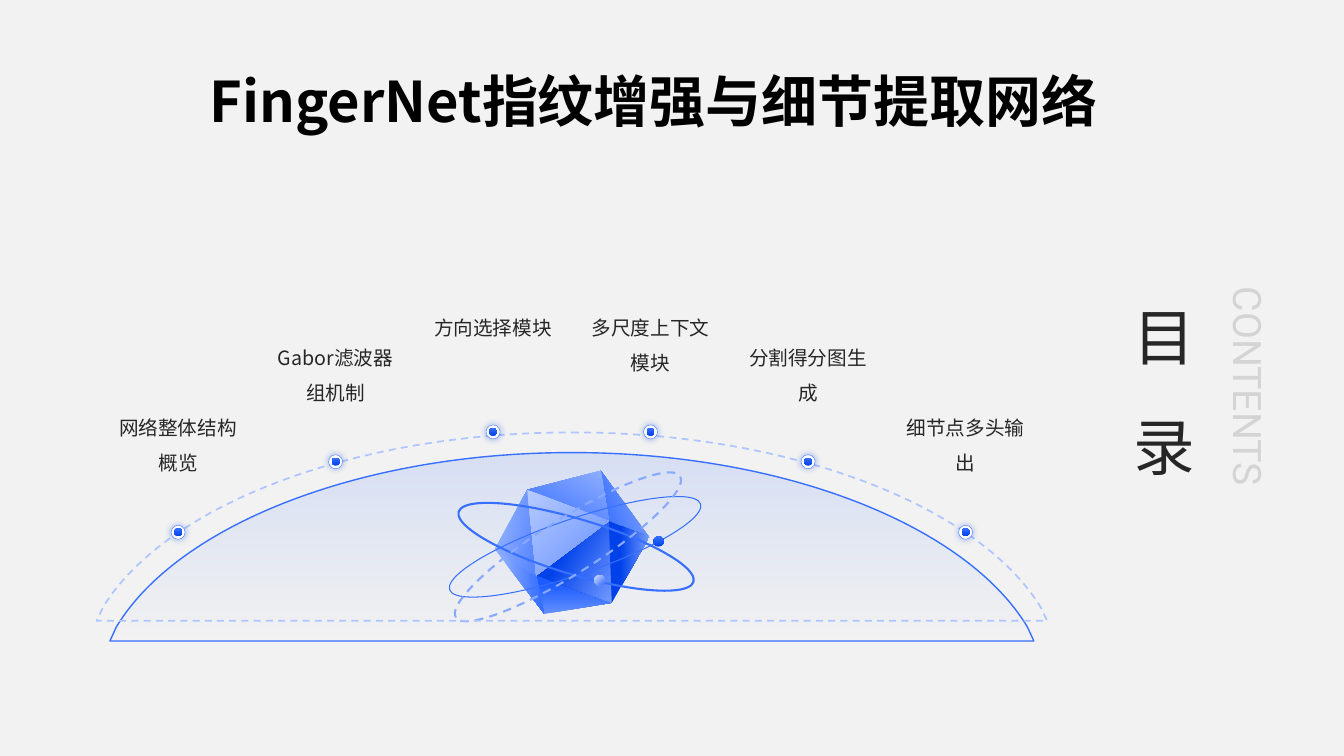
from dataclasses import dataclass
from typing import NamedTuple

from lxml.etree import SubElement as sub
from pptx import Presentation
from pptx.dml.color import RGBColor as Rgb
from pptx.enum.dml import MSO_LINE as Dash
from pptx.enum.shapes import MSO_SHAPE as Kind
from pptx.enum.text import PP_ALIGN as Align
from pptx.oxml.ns import qn
from pptx.shapes.autoshape import Shape
from pptx.util import Pt


@dataclass(frozen=True)
class Theme:
    back: str = "F2F2F2"
    black: str = "000000"
    ink: str = "262626"
    pale: str = "D4D4D4"
    white: str = "FFFFFF"
    blue: str = "376FFF"
    deep: str = "0041E9"
    ice: str = "D7E2FF"
    cjk: str = "Noto Sans CJK SC"
    latin: str = "Roboto"
    title: int = 40
    head: int = 44
    side: int = 28
    label: int = 14


class Grad(NamedTuple):
    first: str
    last: str
    angle: float  # clockwise
    start: int = 0
    end: int = 100


class Style(NamedTuple):
    size: int
    font: str
    color: str
    align: Align
    line: float | None = None
    bold: bool = False
    inset: bool = True


class Facet(NamedTuple):
    nodes: str
    grad: Grad


class Orbit(NamedTuple):
    x: float
    width: float
    turn: float
    weight: float
    tint: float = 0


class Stop(NamedTuple):
    text: str
    y: float


T = Theme()
BALL = Grad(T.deep, T.blue, 270, 1)

# Corners of the gem
NODES = {
    "A": (353.5, 392.4), "B": (376.6, 349.9), "C": (429.1, 336.2), "D": (463.7, 383.8),
    "E": (437, 430.6), "F": (388.8, 438.5), "G": (383, 411.1), "H": (434.9, 372.2),
}
FACETS = [
    Facet("EFG", Grad("638FFF", "1B5BFF", 270, 1, 78)),
    Facet("AGF", Grad("87A9FF", T.blue, 0, 19, 92)),
    Facet("ABG", Grad("9BB7FF", "5383FF", 10)),
    Facet("HEG", Grad(T.deep, "739AFF", 30, 36)),
    Facet("HCD", Grad("87A9FF", T.blue, 160, 1, 92)),
    Facet("HDE", Grad(T.deep, "739AFF", 0, 28)),
    Facet("BCH", Grad("91B0FF", T.blue, 120)),
    Facet("BHG", Grad("B7CBFF", "6590FF", 45)),
]
ORBITS = [
    Orbit(316.1, 189.4, 341.1, 0.75),
    Orbit(324, 175, 16.6, 1.5),
    Orbit(311, 189.4, 327.8, 1.5, 0.4),
]
STOPS = [
    Stop("网络整体结构概览", 380.2), Stop("Gabor滤波器组机制", 329.8),
    Stop("方向选择模块", 308.5), Stop("多尺度上下文模块", 308.5),
    Stop("分割得分图生成", 329.8), Stop("细节点多头输出", 380.2),
]

deck = Presentation()
deck.slide_width, deck.slide_height = Pt(960), Pt(540)
slide = deck.slides.add_slide(deck.slide_layouts[6])
slide.background.fill.solid()
slide.background.fill.fore_color.rgb = Rgb.from_string(T.back)


def fade(node, *shares: int) -> None:
    """Set the opacity, in percent, of each colour in turn."""
    for color, share in zip(node.iter(qn("a:srgbClr")), shares):
        sub(color, qn("a:alpha"), val=str(share * 1000))


def paint(shape: Shape, fill: Grad | str | None = None, weight: float = 0,
          tint: float = 0) -> Shape:
    """Fill and outline a shape; a tinted outline is lighter and dashed."""
    shape.shadow.inherit = False
    if fill is None:
        shape.fill.background()
    elif isinstance(fill, str):
        shape.fill.solid()
        shape.fill.fore_color.rgb = Rgb.from_string(fill)
    else:
        shape.fill.gradient()
        shape.fill.gradient_angle = (360 - fill.angle) % 360
        ends = ((fill.first, fill.start), (fill.last, fill.end))
        for stop, (color, place) in zip(shape.fill.gradient_stops, ends):
            stop.color.rgb = Rgb.from_string(color)
            stop.position = place / 100
    if weight:
        shape.line.color.rgb = Rgb.from_string(T.blue)
        shape.line.width = Pt(weight)
        if tint:
            shape.line.color.brightness = tint
            shape.line.dash_style = Dash.DASH
    else:
        shape.line.fill.background()
    return shape


def write(text: str, x: float, y: float, w: float, h: float, style: Style) -> Shape:
    box = slide.shapes.add_textbox(Pt(x), Pt(y), Pt(w), Pt(h))
    frame = box.text_frame
    frame.word_wrap = True
    if not style.inset:
        frame.margin_left = frame.margin_right = frame.margin_top = frame.margin_bottom = 0
    frame.text = text
    para = frame.paragraphs[0]
    para.alignment = style.align
    if style.line:
        para.line_spacing = Pt(style.line)
    run = para.runs[0]
    run.font.size, run.font.bold, run.font.name = Pt(style.size), style.bold, style.font
    run.font.color.rgb = Rgb.from_string(style.color)
    sub(run._r.get_or_add_rPr(), qn("a:ea"), typeface=style.font)
    return box


def trace(dots: list[tuple[float, float]]) -> Shape:
    spots = [(Pt(x), Pt(y)) for x, y in dots]
    pen = slide.shapes.build_freeform(*spots[0], scale=1.0)
    pen.add_line_segments(spots[1:], close=True)
    return pen.convert_to_shape()


def dome(top: float, half: float) -> Shape:
    """Trace a curved roof, mirrored about its peak, on a flat base."""
    mid = 408.5
    side = [(0.4624, 0), (0.855, 52.6), (0.986, 124.6), (1, 134.6)]
    dots = [(0, 0), *side, *[(-part, dy) for part, dy in reversed(side)], (0, 0)]
    shape = trace([(mid + half * part, top + dy) for part, dy in dots])
    # Turn the three steps on each side of the peak into one curve
    steps = list(shape._element.iter(qn("a:lnTo")))
    for bend in (steps[:3], steps[6:9]):
        track = bend[0].getparent()
        curve = sub(track, qn("a:cubicBezTo"))
        bend[0].addprevious(curve)
        for step in bend:
            curve.append(step[0])
            track.remove(step)
    return shape


def disc(x: float, y: float, size: float, fill: Grad | str, weight: float = 0) -> Shape:
    shape = slide.shapes.add_shape(Kind.OVAL, Pt(x - size / 2), Pt(y - size / 2),
                                   Pt(size), Pt(size))
    return paint(shape, fill, weight)


# Headings
write("目录", 802.6, 183.6, 94.3, 177.8, Style(T.head, T.latin, T.ink, Align.JUSTIFY, 79))
side = write("CONTENTS", 806.4, 255, 170, 42, Style(T.side, T.latin, T.pale, Align.CENTER))
side.rotation = 90
write("FingerNet指纹增强与细节提取网络", 54.7, 43.9, 824.4, 70.6,
      Style(T.title, T.cjk, T.black, Align.CENTER, 48, True))

# Inner dome
inner = paint(dome(323.3, 330), Grad(T.blue, T.blue, 90), 1)
fade(inner._element.spPr.find(qn("a:gradFill")), 15, 0)

# Gem, orbits and moons
for facet in FACETS:
    paint(trace([NODES[node] for node in facet.nodes]), facet.grad)
for orbit in ORBITS:
    ring = slide.shapes.add_shape(Kind.OVAL, Pt(orbit.x), Pt(370.8), Pt(orbit.width), Pt(39.6))
    ring.rotation = orbit.turn
    paint(ring, None, orbit.weight, orbit.tint)
disc(470.4, 386.8, 7.4, BALL)
disc(428.2, 414.5, 7.4, Grad(T.ice, T.blue, 45, 1))

# Outer dashed dome
paint(dome(308.9, 339.5), None, 1.25, 0.6)

# Stops along the arc
label = Style(T.label, T.cjk, T.ink, Align.CENTER, 25, inset=False)
for i, stop in enumerate(STOPS):
    x = 127.2 + 112.5 * i
    rim = disc(x, stop.y, 10, T.white, 0.25)
    glow = sub(rim._element.spPr.find(qn("a:effectLst")), qn("a:outerShdw"),
               blurRad=str(Pt(5)), dist="0", dir="0", algn="ctr", rotWithShape="0")
    sub(glow, qn("a:srgbClr"), val=T.deep)
    fade(glow, 40)
    disc(x, stop.y, 5.8, BALL)
    write(stop.text, x - 46.8, stop.y - 91, 93.6, 47.5, label)

deck.save("out.pptx")
